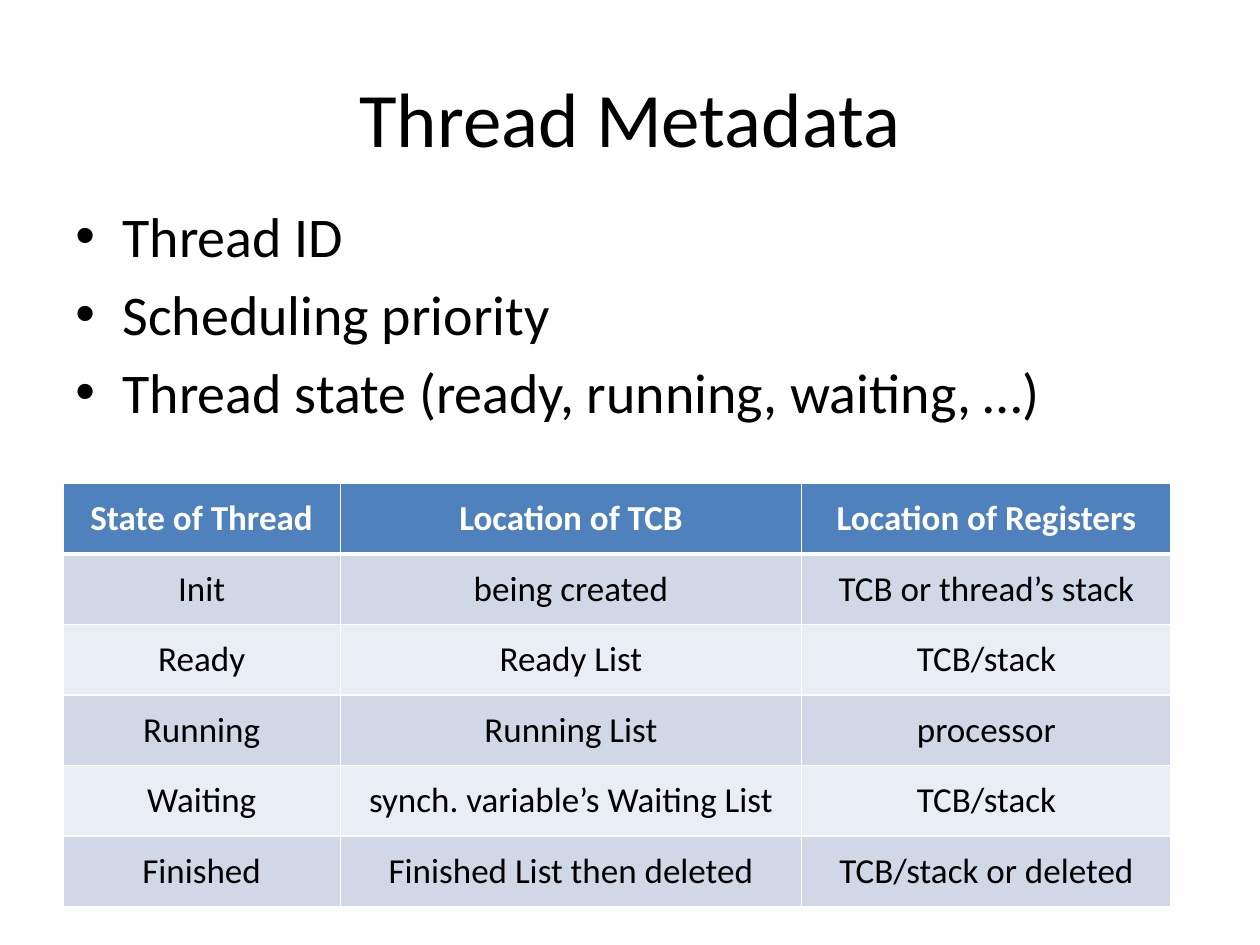
from dataclasses import dataclass

from lxml import etree
from pptx import Presentation
from pptx.dml.color import RGBColor
from pptx.enum.text import MSO_ANCHOR, PP_ALIGN
from pptx.oxml.ns import qn
from pptx.util import Cm, Pt


@dataclass(frozen=True)
class Theme:
    """Colours, font and type sizes of the slide."""
    font: str = "Calibri"
    text: str = "000000"
    light: str = "FFFFFF"
    header: str = "4F81BD"
    bands: tuple = ("D0D8E8", "E9EDF4")
    title_size: int = 44
    body_size: int = 32
    table_size: int = 20


class SlideBuilder:
    """Adds styled elements to one slide."""

    def __init__(self, slide, theme):
        """Keep the slide and its style."""
        self.slide = slide
        self.theme = theme

    def add_styled_run(self, paragraph, text, size, color, bold=False):
        """Put one styled run into a paragraph."""
        run = paragraph.add_run()
        run.text = text
        run.font.name = self.theme.font
        run.font.size = Pt(size)
        run.font.bold = bold
        run.font.color.rgb = RGBColor.from_string(color)

    def text_frame(self, left, top, width, height, anchor):
        """Add a wrapping text box and return its frame."""
        box = self.slide.shapes.add_textbox(Cm(left), Cm(top), Cm(width), Cm(height))
        frame = box.text_frame
        frame.word_wrap = True
        frame.vertical_anchor = anchor
        return frame

    def title(self, text, *place):
        """Add the centred title."""
        paragraph = self.text_frame(*place, MSO_ANCHOR.MIDDLE).paragraphs[0]
        paragraph.alignment = PP_ALIGN.CENTER
        self.add_styled_run(paragraph, text, self.theme.title_size, self.theme.text)

    def bullets(self, items, *place):
        """Add a bulleted list with hanging indents."""
        frame = self.text_frame(*place, MSO_ANCHOR.TOP)
        indent = Cm(0.95)
        for index, item in enumerate(items):
            paragraph = frame.add_paragraph() if index else frame.paragraphs[0]
            paragraph.space_before = Pt(6)
            self.add_styled_run(paragraph, item, self.theme.body_size, self.theme.text)
            props = paragraph._p.get_or_add_pPr()
            props.set("marL", str(indent))
            props.set("indent", str(-indent))
            etree.SubElement(props, qn("a:buFont"), typeface="Arial")
            etree.SubElement(props, qn("a:buChar"), char="•")

    def borders(self, cell, widths):
        """Draw cell borders; widths maps each side to points."""
        props = cell._tc.get_or_add_tcPr()
        for index, (side, width) in enumerate(widths.items()):
            line = etree.Element(qn(f"a:ln{side}"), w=str(Pt(width)))
            fill = etree.SubElement(line, qn("a:solidFill"))
            etree.SubElement(fill, qn("a:srgbClr"), val=self.theme.light)
            props.insert(index, line)

    def table(self, rows, left, top, column_widths, row_height):
        """Add a table with a header row and alternating bands."""
        theme = self.theme
        table = self.slide.shapes.add_table(
            len(rows), len(column_widths), Cm(left), Cm(top),
            Cm(sum(column_widths)), Cm(row_height * len(rows))).table
        for column, width in zip(table.columns, column_widths):
            column.width = Cm(width)
        for r, values in enumerate(rows):
            table.rows[r].height = Cm(row_height)
            is_header = r == 0
            fill = theme.header if is_header else theme.bands[(r - 1) % 2]
            color = theme.light if is_header else theme.text
            widths = {"L": 1, "R": 1, "T": 3 if r == 1 else 1, "B": 3 if is_header else 1}
            for c, value in enumerate(values):
                cell = table.cell(r, c)
                cell.vertical_anchor = MSO_ANCHOR.MIDDLE
                cell.fill.solid()
                cell.fill.fore_color.rgb = RGBColor.from_string(fill)
                paragraph = cell.text_frame.paragraphs[0]
                paragraph.alignment = PP_ALIGN.CENTER
                self.add_styled_run(paragraph, value, theme.table_size, color, is_header)
                self.borders(cell, widths)


def main():
    """Build and save the slide."""
    deck = Presentation()
    deck.slide_width, deck.slide_height = Cm(25.4), Cm(19.05)
    builder = SlideBuilder(deck.slides.add_slide(deck.slide_layouts[6]), Theme())

    builder.title("Thread Metadata", 1.27, 0.76, 22.86, 3.18)
    builder.bullets(
        ["Thread ID", "Scheduling priority", "Thread state (ready, running, waiting, …)"],
        1.27, 3.94, 22.86, 13.08)
    builder.table([
        ("State of Thread", "Location of TCB", "Location of Registers"),
        ("Init", "being created", "TCB or thread’s stack"),
        ("Ready", "Ready List", "TCB/stack"),
        ("Running", "Running List", "processor"),
        ("Waiting", "synch. variable’s Waiting List", "TCB/stack"),
        ("Finished", "Finished List then deleted", "TCB/stack or deleted"),
    ], 1.27, 9.75, (5.59, 9.3, 7.45), 1.42)

    deck.save("out.pptx")


main()
